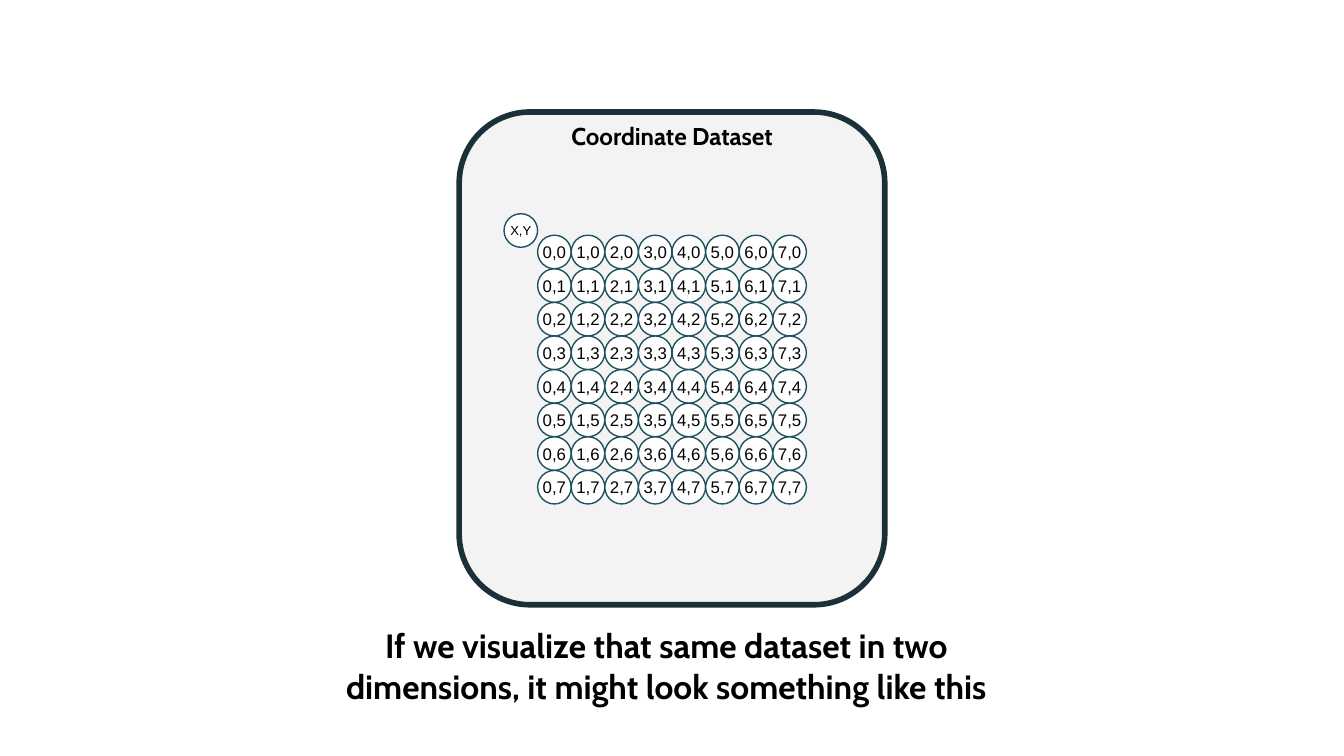
from dataclasses import dataclass

from pptx import Presentation
from pptx import util as u
from pptx.dml.color import RGBColor
from pptx.enum import shapes, text


@dataclass(frozen=True)
class Theme:
    ink: RGBColor = RGBColor.from_string("000000")
    panel_fill: RGBColor = RGBColor.from_string("F3F3F3")
    panel_line: RGBColor = RGBColor.from_string("1B3038")
    point_fill: RGBColor = RGBColor.from_string("FFFFFF")
    point_line: RGBColor = RGBColor.from_string("1B5161")
    heading_font: str = "Cabin"
    point_font: str = "Arial"
    caption_size: float = 18
    heading_size: float = 13
    point_size: float = 9
    key_size: float = 7


theme = Theme()
POINT = 18  # circle diameter and grid pitch
GRID_LEFT, GRID_TOP, GRID_COUNT = 288, 126, 8
PANEL_LEFT, PANEL_TOP, PANEL_WIDTH, PANEL_HEIGHT = 246, 60, 228, 264


def format_text(shape, size, font_name, bold, inset, anchor, wrap):
    frame = shape.text_frame
    frame.auto_size = text.MSO_AUTO_SIZE.NONE
    frame.word_wrap = wrap
    frame.vertical_anchor = anchor
    frame.margin_left = frame.margin_right = u.Pt(inset)
    frame.margin_top = frame.margin_bottom = u.Pt(inset)
    for paragraph in frame.paragraphs:
        paragraph.alignment = text.PP_ALIGN.CENTER
        paragraph.font.name = font_name
        paragraph.font.size = u.Pt(size)
        paragraph.font.bold = bold
        paragraph.font.color.rgb = theme.ink


def add_point(left, top, label, size):
    point = slide.shapes.add_shape(
        shapes.MSO_SHAPE.OVAL, u.Pt(left), u.Pt(top), u.Pt(POINT), u.Pt(POINT))
    point.shadow.inherit = False
    point.fill.solid()
    point.fill.fore_color.rgb = theme.point_fill
    point.line.color.rgb = theme.point_line
    point.line.width = u.Pt(0.75)
    point.text_frame.text = label
    format_text(point, size, theme.point_font, False, 0, text.MSO_ANCHOR.MIDDLE, False)


presentation = Presentation()
presentation.slide_width = u.Pt(720)
presentation.slide_height = u.Pt(405)
slide = presentation.slides.add_slide(presentation.slide_layouts.get_by_name("Title Only"))

# Caption, as the slide title
caption = slide.shapes.title
caption.left, caption.top = u.Pt(96), u.Pt(330)
caption.width, caption.height = u.Pt(522), u.Pt(18)
caption_paragraph = caption.text_frame.paragraphs[0]
caption_paragraph.add_run().text = "If we visualize that same dataset in two"
caption_paragraph.add_line_break()
caption_paragraph.add_run().text = "dimensions, it might look something like this"
format_text(caption, theme.caption_size, theme.heading_font, True, 5, text.MSO_ANCHOR.TOP, True)

# Dataset panel
panel = slide.shapes.add_shape(
    shapes.MSO_SHAPE.ROUNDED_RECTANGLE,
    u.Pt(PANEL_LEFT), u.Pt(PANEL_TOP), u.Pt(PANEL_WIDTH), u.Pt(PANEL_HEIGHT))
panel.shadow.inherit = False
panel.fill.solid()
panel.fill.fore_color.rgb = theme.panel_fill
panel.line.color.rgb = theme.panel_line
panel.line.width = u.Pt(3)

# Coordinate grid
for y in range(GRID_COUNT):
    for x in range(GRID_COUNT):
        add_point(GRID_LEFT + x * POINT, GRID_TOP + y * POINT, f"{x},{y}", theme.point_size)

# Panel heading
heading = slide.shapes.add_textbox(
    u.Pt(PANEL_LEFT), u.Pt(PANEL_TOP), u.Pt(PANEL_WIDTH), u.Pt(22.5))
heading.text_frame.text = "Coordinate Dataset"
format_text(heading, theme.heading_size, theme.heading_font, True, 5, text.MSO_ANCHOR.TOP, True)

# Key to the coordinate order
add_point(GRID_LEFT - POINT, 114.5, "X,Y", theme.key_size)

presentation.save("out.pptx")
